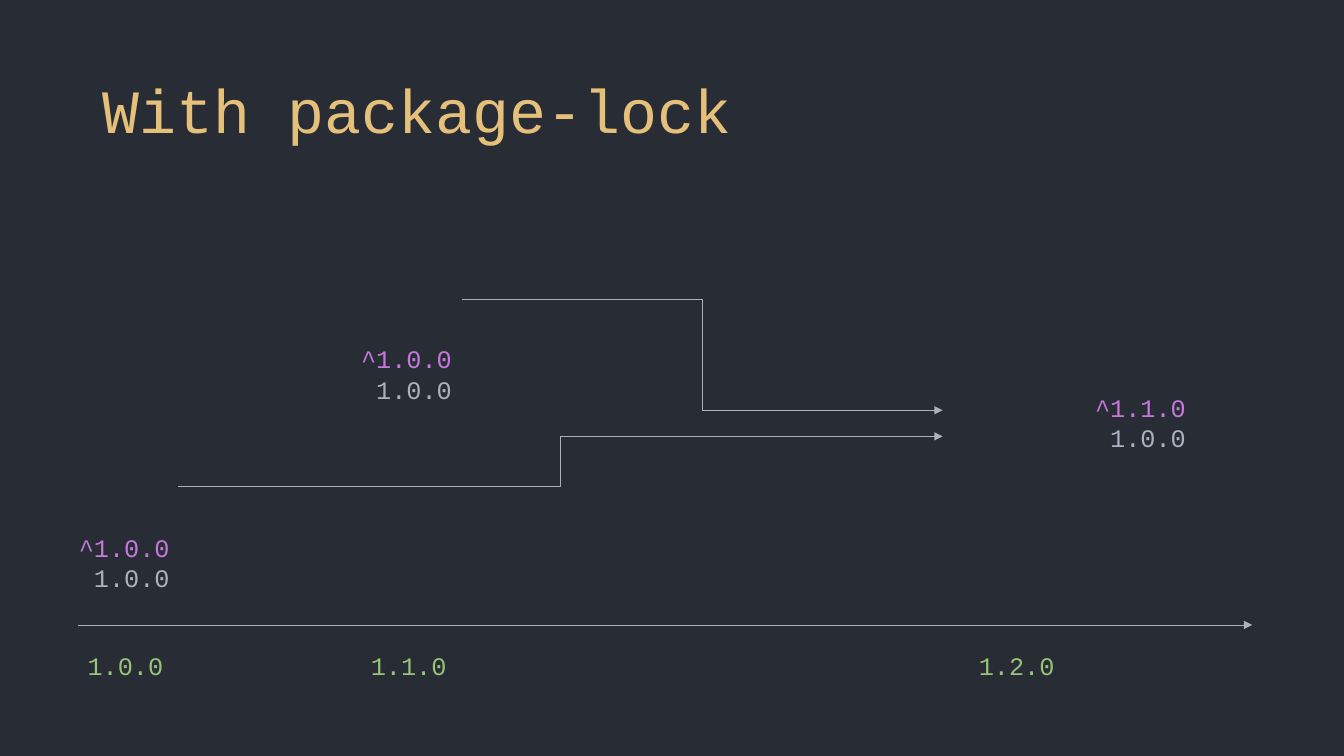
import pptx
import pptx.util
import pptx.dml.color
import pptx.enum.shapes
import pptx.enum.text
import pptx.oxml
import pptx.oxml.ns
from pptx.util import Inches

RGBColor = pptx.dml.color.RGBColor
BACKGROUND = RGBColor(0x28, 0x2C, 0x34)
YELLOW = RGBColor(0xE5, 0xC0, 0x7B)
PURPLE = RGBColor(0xC6, 0x78, 0xDD)
GREY = RGBColor(0xAB, 0xB2, 0xBF)
GREEN = RGBColor(0x98, 0xC3, 0x79)

STRAIGHT = pptx.enum.shapes.MSO_CONNECTOR.STRAIGHT
ELBOW = pptx.enum.shapes.MSO_CONNECTOR.ELBOW
LEFT = pptx.enum.text.PP_ALIGN.LEFT
RIGHT = pptx.enum.text.PP_ALIGN.RIGHT


def add_text(slide, left, top, width, height, lines, size=18, align=LEFT):
    """Add a text box with one paragraph per (text, colour) line."""
    box = slide.shapes.add_textbox(
        Inches(left), Inches(top), Inches(width), Inches(height))
    frame = box.text_frame
    frame.word_wrap = False
    for index, (text, colour) in enumerate(lines):
        paragraph = frame.add_paragraph() if index else frame.paragraphs[0]
        paragraph.text = text
        paragraph.alignment = align
        paragraph.font.name = "Courier New"
        paragraph.font.size = pptx.util.Pt(size)
        paragraph.font.color.rgb = colour
    return frame


def add_title(slide, title):
    frame = add_text(slide, 0.92, 0.4, 11.5, 1.45, [(title, YELLOW)], size=44)
    frame.word_wrap = True
    frame.vertical_anchor = pptx.enum.text.MSO_ANCHOR.MIDDLE
    frame.paragraphs[0].line_spacing = 0.9


def add_arrow(slide, kind, start_x, start_y, end_x, end_y):
    arrow = slide.shapes.add_connector(
        kind, Inches(start_x), Inches(start_y), Inches(end_x), Inches(end_y))
    arrow.line.color.rgb = GREY
    arrow.line.width = pptx.util.Pt(0.5)
    qn = pptx.oxml.ns.qn
    properties = arrow._element.spPr
    head = properties.find(qn("a:ln")).makeelement(
        qn("a:tailEnd"), {"type": "triangle"})
    properties.find(qn("a:ln")).append(head)
    properties.append(properties.makeelement(qn("a:effectLst"), {}))


def add_dependency(slide, left, top, wanted, locked):
    """Show the requested range above the locked version."""
    add_text(slide, left, top, 1.11, 0.71,
             [(wanted, PURPLE), (locked, GREY)], align=RIGHT)


def main():
    presentation = pptx.Presentation()
    presentation.slide_width = Inches(13.33)
    presentation.slide_height = Inches(7.5)
    slide = presentation.slides.add_slide(presentation.slide_layouts[6])
    slide.background.fill.solid()
    slide.background.fill.fore_color.rgb = BACKGROUND

    add_title(slide, "With package-lock")

    # Release timeline
    add_arrow(slide, STRAIGHT, 0.77, 6.2, 12.42, 6.2)
    for left, release in ((0.77, "1.0.0"), (3.58, "1.1.0"), (9.61, "1.2.0")):
        add_text(slide, left, 6.4, 0.96, 0.4, [(release, GREEN)])

    # Dependencies: requested range and locked version
    add_dependency(slide, 0.67, 5.23, "^1.0.0", "1.0.0")
    add_dependency(slide, 3.47, 3.36, "^1.0.0", "1.0.0")
    add_dependency(slide, 10.75, 3.84, "^1.1.0", "1.0.0")

    # Both earlier installs lead to the last one
    add_arrow(slide, ELBOW, 4.58, 2.97, 9.35, 4.07)
    add_arrow(slide, ELBOW, 1.77, 4.83, 9.35, 4.33)

    presentation.save("out.pptx")


if __name__ == "__main__":
    main()
